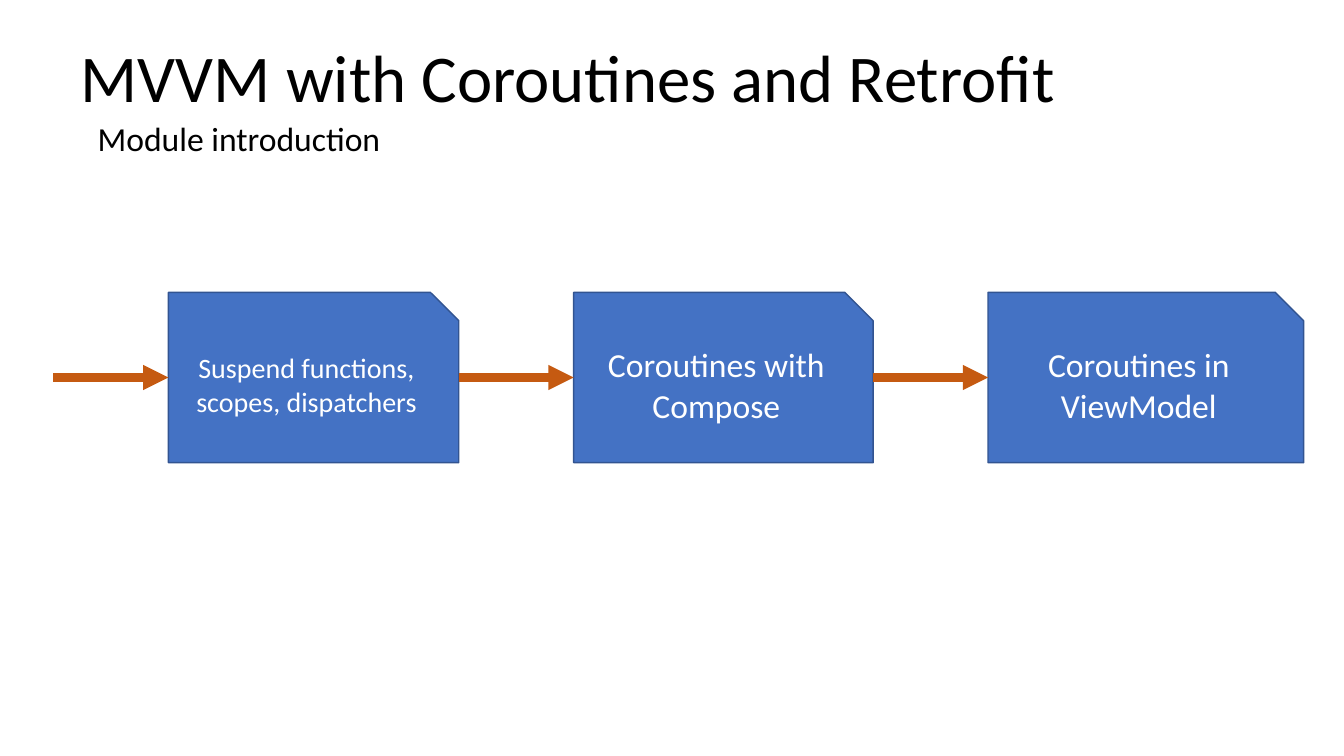
from lxml import etree
from pptx import Presentation
from pptx.dml.color import RGBColor
from pptx.enum.shapes import MSO_CONNECTOR as Link, MSO_SHAPE as Shape
from pptx.enum.text import MSO_ANCHOR as Anchor, MSO_AUTO_SIZE as Fit, PP_ALIGN as Align
from pptx.oxml.ns import qn
from pptx.util import Inches, Pt

BLACK = RGBColor(0x00, 0x00, 0x00)
WHITE = RGBColor(0xFF, 0xFF, 0xFF)
BLUE = RGBColor(0x44, 0x72, 0xC4)
NAVY = RGBColor(0x32, 0x54, 0x91)
RUST = RGBColor(0xC5, 0x5A, 0x11)


def write(shape, text, size, color=BLACK, align=Align.LEFT, anchor=Anchor.TOP, space=1.0):
    frame = shape.text_frame
    frame.word_wrap = True
    frame.auto_size = Fit.NONE
    frame.vertical_anchor = anchor
    para = frame.paragraphs[0]
    para.alignment = align
    para.line_spacing = space
    run = para.add_run()
    run.text = text
    run.font.name = "Calibri"
    run.font.size = Pt(size)
    run.font.color.rgb = color


deck = Presentation()
deck.slide_width = Inches(13.33)
deck.slide_height = Inches(7.5)
slide = deck.slides.add_slide(deck.slide_layouts[5])
shapes = slide.shapes

title = shapes.title
title.left, title.top = Inches(0.7), Inches(0.61)
title.width, title.height = Inches(11.54), Inches(0.6)
write(title, "MVVM with Coroutines and Retrofit", 47.7, anchor=Anchor.BOTTOM, space=0.9)

intro = shapes.add_textbox(Inches(0.87), Inches(1.12), Inches(8.74), Inches(0.5))
write(intro, "Module introduction", 24)

# Each step is an arrow followed by a box, laid end to end.
steps = [
    ("Suspend functions, scopes, dispatchers", 2.88, 20),
    ("Coroutines with Compose", 2.97, 24),
    ("Coroutines in ViewModel", 3.13, 24),
]
top, height, gap = 2.9, 1.69, 1.14
mid = Inches(top + height / 2)
left = 0.53
last = None
for text, width, size in steps:
    start = left
    left += gap
    box = shapes.add_shape(Shape.SNIP_1_RECTANGLE, Inches(left), Inches(top),
                           Inches(width), Inches(height))
    box.shadow.inherit = False
    box.fill.solid()
    box.fill.fore_color.rgb = BLUE
    box.line.color.rgb = NAVY
    box.line.width = Pt(1)
    write(box, text, size, WHITE, Align.CENTER, Anchor.MIDDLE)

    arrow = shapes.add_connector(Link.STRAIGHT, Inches(start), mid, Inches(left), mid)
    if last is not None:
        arrow.begin_connect(last, 3)
    arrow.end_connect(box, 1)
    arrow.line.color.rgb = RUST
    arrow.line.width = Pt(6)
    etree.SubElement(arrow.line._get_or_add_ln(), qn("a:tailEnd"), type="triangle")
    etree.SubElement(arrow._element.spPr, qn("a:effectLst"))

    last = box
    left += width

deck.save("out.pptx")
